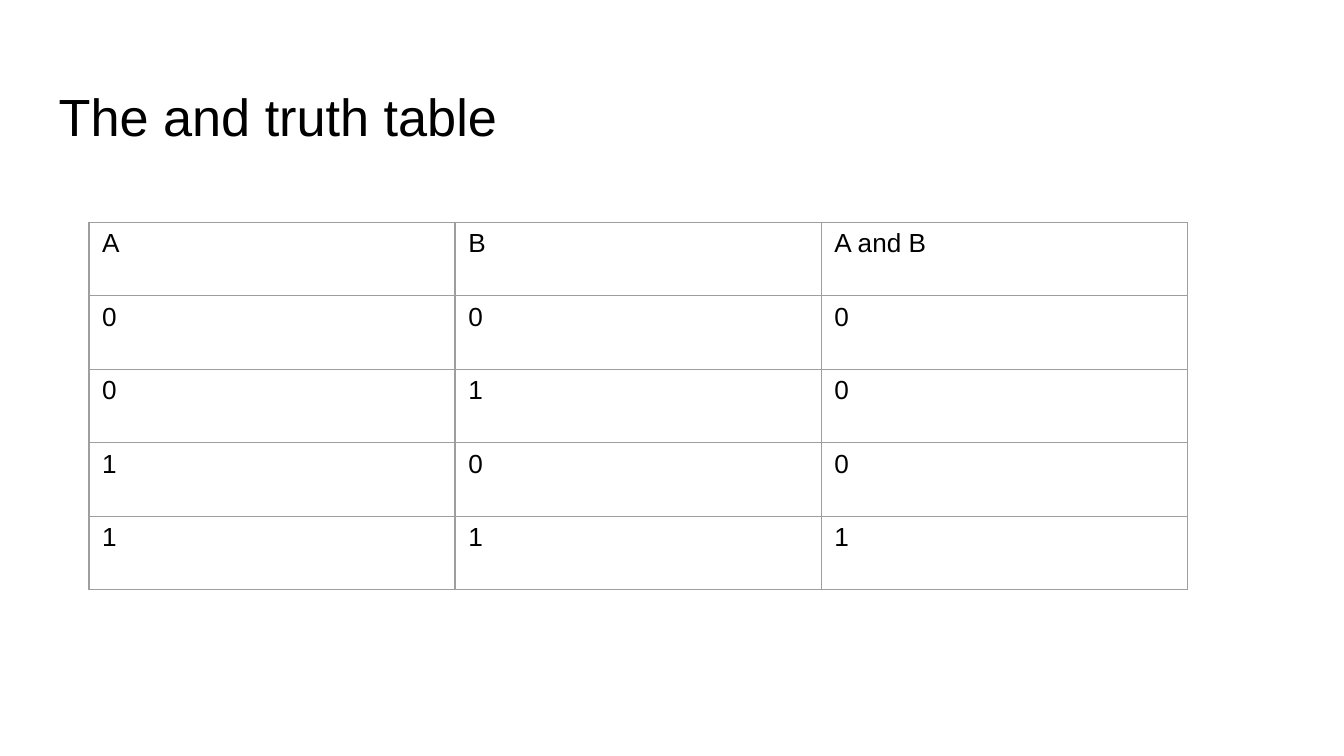
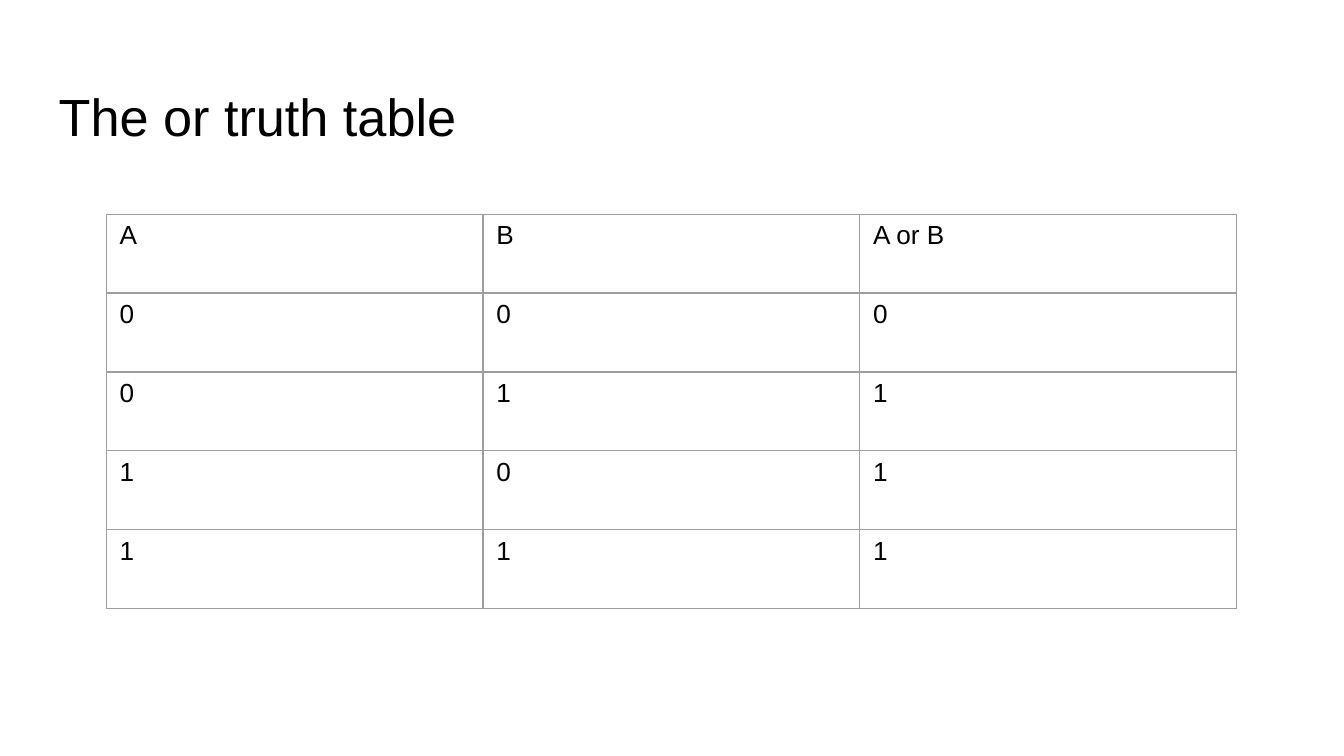
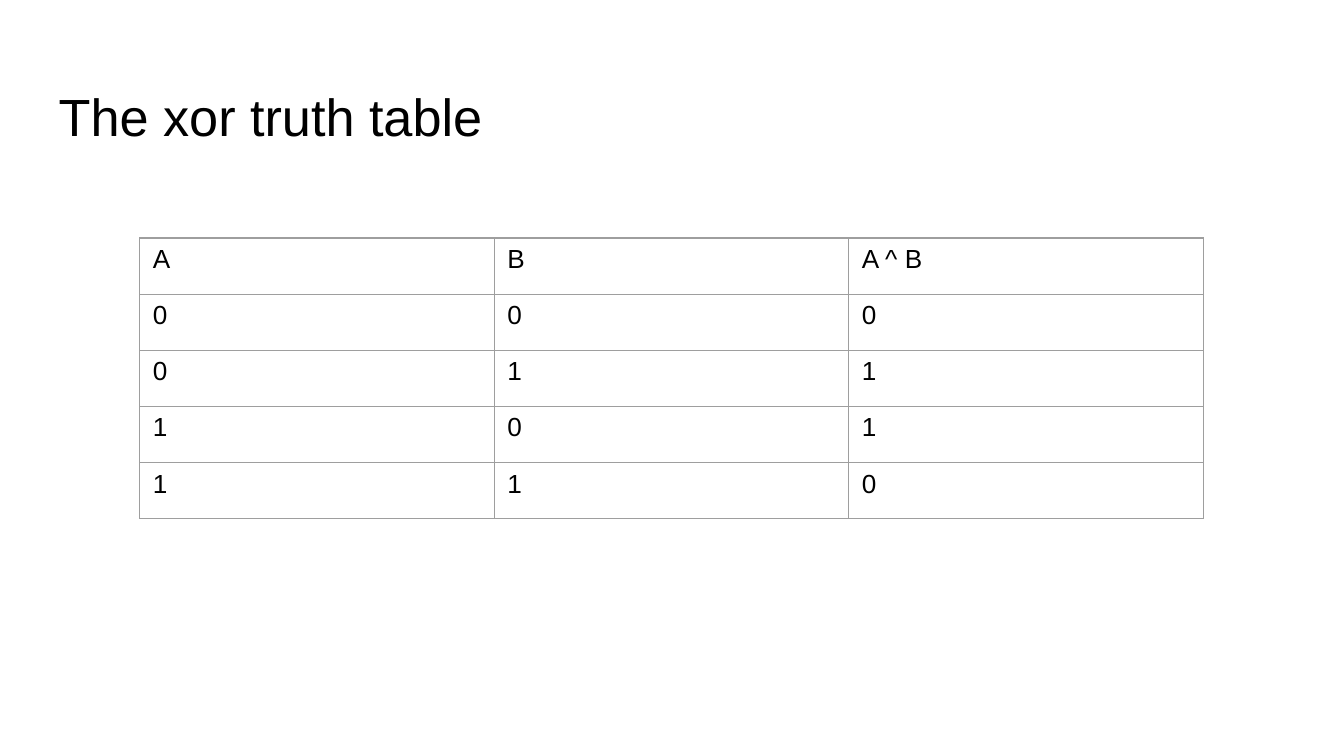
from itertools import product

from lxml.etree import SubElement
from pptx import Presentation
from pptx.dml.color import RGBColor
from pptx.enum.text import MSO_ANCHOR, MSO_AUTO_SIZE, PP_ALIGN
from pptx.oxml.ns import qn
from pptx.util import Cm, Pt

# Shared look
FONT = "Arial"
INK = RGBColor(0x00, 0x00, 0x00)
GRID = RGBColor(0x9E, 0x9E, 0x9E)
GRID_WIDTH = Pt(0.75)
INSET = Cm(0.25)

# Operator, result heading, results, then left, top, column width, row height in cm
truth_tables = [
    ("and", "A and B", lambda a, b: a & b, 1.68, 4.2, 6.92, 1.39),
    ("or", "A or B", lambda a, b: a | b, 2.01, 4.05, 7.12, 1.49),
    ("xor", "A ^ B", lambda a, b: a ^ b, 2.64, 4.5, 6.7, 1.06),
]


def style_text(paragraph, size):
    paragraph.alignment = PP_ALIGN.LEFT
    for run in paragraph.runs:
        run.font.name = FONT
        run.font.size = Pt(size)
        run.font.color.rgb = INK


def add_borders(cell):
    properties = cell._tc.get_or_add_tcPr()
    for side in ("a:lnL", "a:lnR", "a:lnT", "a:lnB"):
        border = SubElement(properties, qn(side), w=str(GRID_WIDTH))
        fill = SubElement(border, qn("a:solidFill"))
        SubElement(fill, qn("a:srgbClr"), val=str(GRID))


prs = Presentation()
prs.slide_width = Cm(25.4)
prs.slide_height = Cm(14.29)
title_only = prs.slide_layouts[5]

for operator, heading, evaluate, left, top, column_width, row_height in truth_tables:
    slide = prs.slides.add_slide(title_only)

    # Title
    title = slide.shapes.title
    title.left, title.top, title.width, title.height = Cm(0.86), Cm(1.24), Cm(23.67), Cm(1.6)
    title_text = title.text_frame
    title_text.text = f"The {operator} truth table"
    title_text.auto_size = MSO_AUTO_SIZE.NONE
    title_text.vertical_anchor = MSO_ANCHOR.TOP
    title_text.margin_left = title_text.margin_right = title_text.margin_bottom = INSET
    title_text.margin_top = Cm(0.35)
    style_text(title_text.paragraphs[0], 28)

    # Truth table: headings, then every pair of inputs with its result
    rows = [("A", "B", heading)]
    rows += [(a, b, evaluate(a, b)) for a, b in product((0, 1), repeat=2)]
    truth_table = slide.shapes.add_table(
        len(rows), 3, Cm(left), Cm(top),
        Cm(column_width * 3), Cm(row_height * len(rows)),
    ).table
    truth_table.first_row = False
    truth_table.horz_banding = False
    for column in truth_table.columns:
        column.width = Cm(column_width)
    for table_row, values in zip(truth_table.rows, rows):
        table_row.height = Cm(row_height)
        for cell, value in zip(table_row.cells, values):
            cell.text = str(value)
            cell.margin_left = cell.margin_right = INSET
            cell.margin_top = cell.margin_bottom = Cm(0.13)
            style_text(cell.text_frame.paragraphs[0], 14)
            add_borders(cell)
            cell.fill.background()

prs.save("out.pptx")
